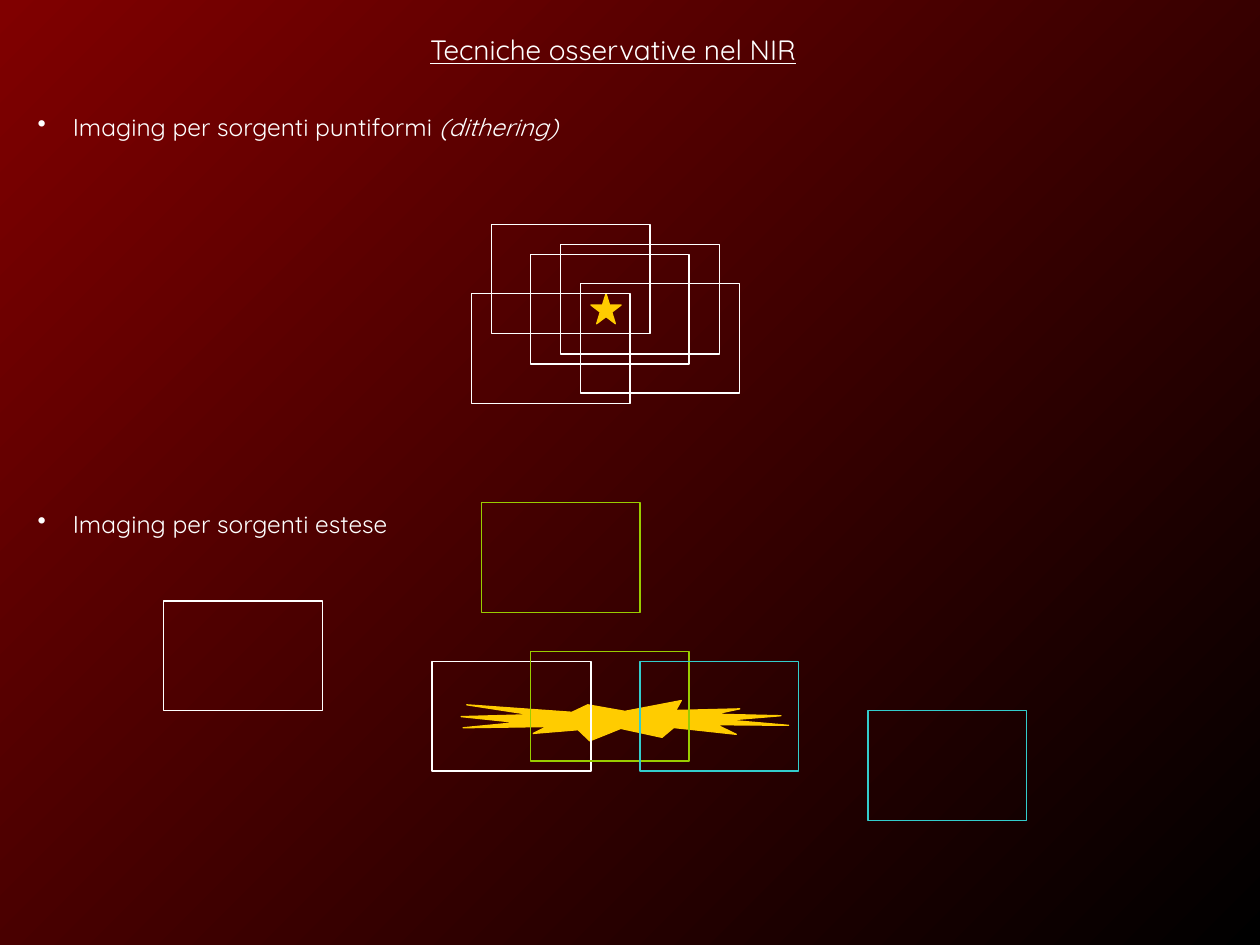
from dataclasses import dataclass

from lxml import etree
from pptx import Presentation
from pptx import util as u
from pptx.dml.color import RGBColor
from pptx.enum import shapes, text
from pptx.oxml import ns


@dataclass(frozen=True)
class Theme:
    font: str = "Quicksand"
    title: int = 16
    body: int = 14
    line: float = 0.75
    white: str = "FFFFFF"
    green: str = "99CC00"
    cyan: str = "33CCCC"
    gold: str = "FFCC00"
    dark: str = "000000"
    red: str = "800000"


T = Theme()


def add_text(left, top, width, height, size, runs):
    """Add a one-paragraph text box from (text, font attributes) runs."""
    s = sl.shapes.add_textbox(*map(u.Inches, (left, top, width, height)))
    tf = s.text_frame
    tf.word_wrap = True
    tf.auto_size = text.MSO_AUTO_SIZE.SHAPE_TO_FIT_TEXT
    p = tf.paragraphs[0]
    for words, style in runs:
        r = p.add_run()
        r.text = words
        r.font.name = T.font
        r.font.size = u.Pt(size)
        r.font.color.rgb = RGBColor.from_string(T.white)
        for name, value in style.items():
            setattr(r.font, name, value)
    return p


def add_outline(kind, left, top, width, height, color, filled=False):
    """Add a preset shape, either solid or see-through."""
    s = sl.shapes.add_shape(kind, *map(u.Inches, (left, top, width, height)))
    s.shadow.inherit = False
    s.line.color.rgb = RGBColor.from_string(color)
    s.line.width = u.Pt(T.line)
    if filled:
        s.fill.solid()
        s.fill.fore_color.rgb = RGBColor.from_string(color)
    else:
        s.fill.background()


prs = Presentation()
prs.slide_width, prs.slide_height = u.Inches(10), u.Inches(7.5)
sl = prs.slides.add_slide(prs.slide_layouts[6])

# Background: black at bottom right to dark red at top left
fill = sl.background.fill
fill.gradient()
fill.gradient_angle = 135
for stop, position, color in zip(fill.gradient_stops, (0, 1), (T.dark, T.red)):
    stop.position = position
    stop.color.rgb = RGBColor.from_string(color)

# Title
p = add_text(2.21, 0.21, 5.31, 0.37, T.title,
             [("Tecniche osservative nel NIR", {"underline": True})])
p.alignment = text.PP_ALIGN.CENTER

# Bulleted headings
headings = [
    (0.84, [("Imaging per sorgenti puntiformi ", {}),
            ("(dithering)", {"italic": True})]),
    (3.99, [("Imaging per sorgenti estese", {})]),
]
indent = u.Inches(0.28)
for top, runs in headings:
    p = add_text(0.2, top, 5.2, 0.34, T.body, runs)
    pPr = p._p.get_or_add_pPr()
    pPr.set("marL", str(indent))
    pPr.set("indent", str(-indent))
    bu_color = etree.SubElement(pPr, ns.qn("a:buClr"))
    etree.SubElement(bu_color, ns.qn("a:srgbClr"), val=T.white)
    etree.SubElement(pPr, ns.qn("a:buChar"), char="•")

# Point source and extended source
add_outline(shapes.MSO_SHAPE.STAR_5_POINT, 4.69, 2.33, 0.24, 0.24, T.gold, True)
add_outline(shapes.MSO_SHAPE.EXPLOSION1, 3.66, 5.56, 2.6, 0.32, T.gold, True)

# Detector frames: dithered on the star, then paired source and sky
frames = [
    (T.white, [(4.21, 2.02), (4.61, 2.25), (4.45, 1.94), (3.9, 1.78), (3.74, 2.33)]),
    (T.white, [(3.43, 5.25), (1.3, 4.77)]),
    (T.green, [(4.21, 5.17), (3.82, 3.99)]),
    (T.cyan, [(5.08, 5.25), (6.89, 5.64)]),
]
for color, corners in frames:
    for left, top in corners:
        add_outline(shapes.MSO_SHAPE.FLOWCHART_PROCESS, left, top, 1.26, 0.87, color)

prs.save("out.pptx")
